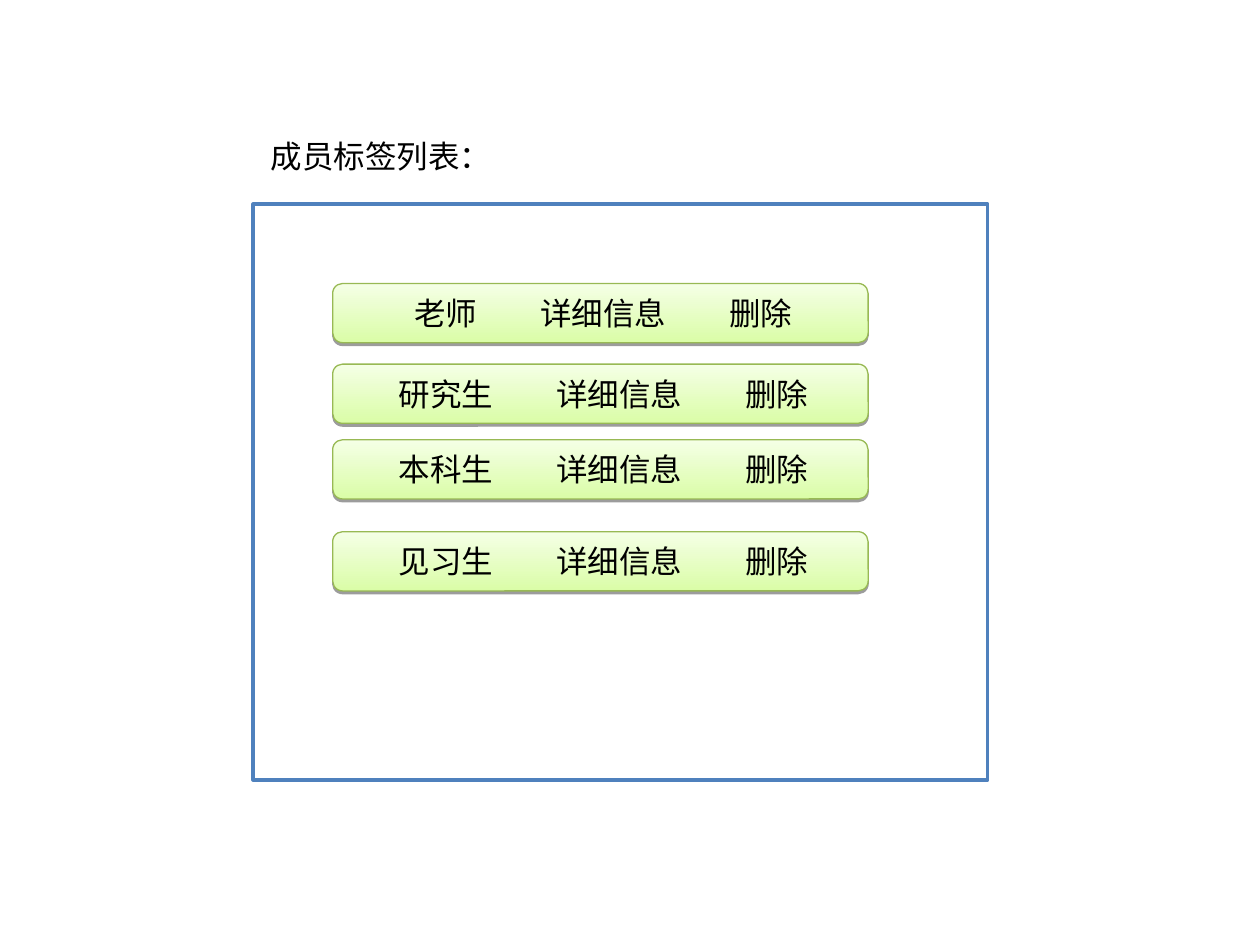
from lxml import etree
from pptx import Presentation
from pptx.dml.color import RGBColor
from pptx.enum import shapes, text
from pptx.oxml.ns import qn
from pptx.util import Inches, Pt

COLORS = {
    "text": "000000",
    "panel": "FFFFFF",
    "panel_line": "4F81BD",
    "row_bottom": "DAFDA7",
    "row_top": "F5FFE6",
    "row_line": "98B954",
    "shadow": "000000",
}
ROWS = [("老师", 2.25), ("研究生", 2.89), ("本科生", 3.49), ("见习生", 4.22)]
ACTIONS = ["详细信息", "删除"]
ROW_LEFT, ROW_WIDTH, ROW_HEIGHT = 2.64, 4.25, 0.47
CHARACTER = 0.25  # width of one Chinese character at 18 pt, in inches
GAP = 2 * CHARACTER


def color(name):
    return RGBColor.from_string(COLORS[name])


def write_text(shape, content, size=18, font="Calibri", wrap=True,
               anchor=text.MSO_ANCHOR.MIDDLE, left_inset=0.1):
    frame = shape.text_frame
    frame.word_wrap = wrap
    frame.vertical_anchor = anchor
    frame.margin_left, frame.margin_right = Inches(left_inset), Inches(0.1)
    frame.margin_top = frame.margin_bottom = Inches(0.05)
    paragraph = frame.paragraphs[0]
    paragraph.alignment = text.PP_ALIGN.LEFT
    run = paragraph.add_run()
    run.text = content
    run.font.size = Pt(size)
    run.font.name = font
    run.font.color.rgb = color("text")
    return paragraph


def set_tab_stops(paragraph, positions):
    tab_list = etree.SubElement(paragraph._p.get_or_add_pPr(), qn("a:tabLst"))
    for position in positions:
        etree.SubElement(tab_list, qn("a:tab"),
                         pos=str(Inches(position)), algn="l")


def add_drop_shadow(shape):
    shape.shadow.inherit = False
    effects = shape._element.spPr.find(qn("a:effectLst"))
    shadow = etree.SubElement(effects, qn("a:outerShdw"), blurRad="0",
                              dist=str(Pt(1.6)), dir="5400000",
                              rotWithShape="0")
    shade = etree.SubElement(shadow, qn("a:srgbClr"), val=COLORS["shadow"])
    etree.SubElement(shade, qn("a:alpha"), val="38000")


def format_title(title, content):
    title.left, title.top = Inches(2.05), Inches(1.04)
    title.width, title.height = Inches(1.95), Inches(0.4)
    write_text(title, content, wrap=False, anchor=text.MSO_ANCHOR.TOP)


def add_panel(slide):
    panel = slide.shapes.add_shape(
        shapes.MSO_SHAPE.RECTANGLE,
        Inches(2.01), Inches(1.62), Inches(5.83), Inches(4.57))
    panel.shadow.inherit = False
    panel.fill.solid()
    panel.fill.fore_color.rgb = color("panel")
    panel.line.color.rgb = color("panel_line")
    panel.line.width = Pt(2)


def add_member_row(slide, member, top):
    """Add a row whose tabbed columns are centred as a group."""
    row = slide.shapes.add_shape(
        shapes.MSO_SHAPE.ROUNDED_RECTANGLE,
        Inches(ROW_LEFT), Inches(top), Inches(ROW_WIDTH), Inches(ROW_HEIGHT))
    row.fill.gradient()
    row.fill.gradient_angle = 90
    for stop, name, position in zip(row.fill.gradient_stops,
                                    ("row_bottom", "row_top"), (0, 1)):
        stop.color.rgb = color(name)
        stop.position = position
    row.line.color.rgb = color("row_line")
    row.line.width = Pt(0.75)
    add_drop_shadow(row)

    columns = [member, *ACTIONS]
    widths = [len(column) * CHARACTER for column in columns]
    total = sum(widths) + GAP * len(ACTIONS)
    paragraph = write_text(row, "\t".join(columns),
                           left_inset=(ROW_WIDTH - total) / 2)
    first_stop = widths[0] + GAP
    set_tab_stops(paragraph, [first_stop, first_stop + widths[1] + GAP])


def main():
    presentation = Presentation()
    presentation.slide_width = Inches(10)
    presentation.slide_height = Inches(7.5)
    slide = presentation.slides.add_slide(presentation.slide_layouts[5])
    format_title(slide.shapes.title, "成员标签列表：")
    add_panel(slide)
    for member, top in ROWS:
        add_member_row(slide, member, top)
    presentation.save("out.pptx")


if __name__ == "__main__":
    main()
